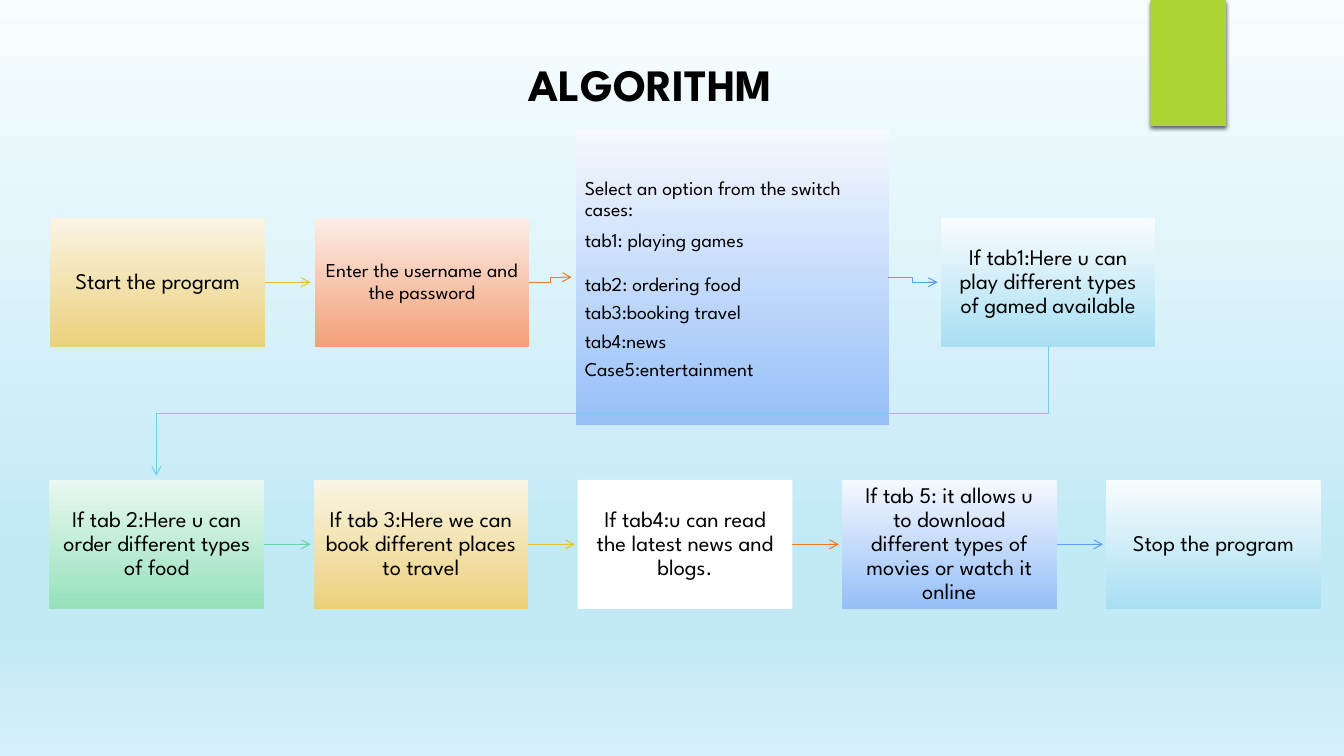
from copy import deepcopy
from dataclasses import dataclass
from lxml.etree import SubElement
from pptx import Presentation
from pptx.dml.color import RGBColor
from pptx.enum.shapes import MSO_CONNECTOR, MSO_SHAPE
from pptx.enum.text import MSO_ANCHOR, PP_ALIGN
from pptx.oxml.ns import qn
from pptx.util import Inches, Pt


@dataclass(frozen=True)
class Theme:
    font: str = "League Spartan"
    ink: str = "000000"
    title_size: int = 32
    step_size: int = 16
    detail_size: int = 14
    backdrop: tuple = ((0, "F8FDFE"), (0.74, "C1E9F6"), (0.83, "C1E9F6"), (1, "D6F0F9"))
    tab: str = "ACD433"
    gold: tuple = ((0, "FAF4E5"), (1, "ECD17B"))
    coral: tuple = ((0, "FCEDE7"), (1, "F3A078"))
    blue: tuple = ((0, "F5F8FE"), (1, "96BFF8"))
    sky: tuple = ((0, "F9FCFE"), (1, "A8DFF2"))
    mint: tuple = ((0, "E9F8F0"), (1, "96E1BB"))
    white: str = "FFFFFF"
    gold_line: str = "E6C133"
    orange_line: str = "EF7A24"
    blue_line: str = "5AA0F5"
    sky_line: str = "75CEEC"
    mint_line: str = "65D6A0"


def write(paragraph, text, theme, size, bold=False, align=PP_ALIGN.CENTER, spacing=0.9, after=0):
    paragraph.alignment = align
    paragraph.line_spacing = spacing
    paragraph.space_before = Pt(0)
    paragraph.space_after = Pt(after)
    run = paragraph.add_run()
    run.text = text
    run.font.name = theme.font
    run.font.size = Pt(size)
    run.font.bold = bold
    run.font.color.rgb = RGBColor.from_string(theme.ink)


class FlowSlide:
    def __init__(self, presentation, theme):
        self.theme = theme
        self.slide = presentation.slides.add_slide(presentation.slide_layouts[5])

    def gradient(self, fill, element, stops):
        fill.gradient()
        fill.gradient_angle = 270
        stop_list = element.xpath(".//a:gsLst")[0]
        for _ in stops[2:]:
            stop_list.append(deepcopy(stop_list[0]))
        for stop, (position, color) in zip(fill.gradient_stops, stops):
            stop.position = position
            stop.color.rgb = RGBColor.from_string(color)

    def background(self):
        self.gradient(self.slide.background.fill, self.slide.element, self.theme.backdrop)

    def title(self, text, left, top, width, height):
        heading = self.slide.shapes.title
        heading.left, heading.top, heading.width, heading.height = map(
            Inches, (left, top, width, height))
        heading.text_frame.vertical_anchor = MSO_ANCHOR.MIDDLE
        write(heading.text_frame.paragraphs[0], text, self.theme,
              self.theme.title_size, bold=True, spacing=1.0)

    def block(self, left, top, width, height, fill):
        block = self.slide.shapes.add_shape(
            MSO_SHAPE.RECTANGLE, *map(Inches, (left, top, width, height)))
        block.shadow.inherit = False
        block.line.fill.background()
        if isinstance(fill, str):
            block.fill.solid()
            block.fill.fore_color.rgb = RGBColor.from_string(fill)
        else:
            self.gradient(block.fill, block.element, fill)
        return block

    def corner_tab(self, left, top, width, height):
        tab = self.block(left, top, width, height, self.theme.tab)
        effects = tab.element.xpath(".//a:effectLst")[0]
        shadow = SubElement(effects, qn("a:outerShdw"), blurRad=str(Pt(3)), dist=str(Pt(2)),
                            dir="5400000", algn="ctr", rotWithShape="0")
        color = SubElement(shadow, qn("a:srgbClr"), val=self.theme.ink)
        SubElement(color, qn("a:alpha"), val="60000")

    def frame(self, block, inset, anchor=MSO_ANCHOR.MIDDLE, inset_top=None):
        frame = block.text_frame
        frame.word_wrap = True
        frame.vertical_anchor = anchor
        frame.margin_left = frame.margin_right = frame.margin_bottom = Inches(inset)
        frame.margin_top = Inches(inset if inset_top is None else inset_top)
        return frame

    def step(self, text, left, top, fill, size=None, inset=0.12):
        block = self.block(left, top, 2.13, 1.28, fill)
        write(self.frame(block, inset).paragraphs[0], text, self.theme,
              size or self.theme.step_size)

    def menu(self, options, left, top, width, height, fill):
        block = self.block(left, top, width, height, fill)
        frame = self.frame(block, 0.09, MSO_ANCHOR.TOP, 0.49)
        for index, (text, spacing, after) in enumerate(options):
            paragraph = frame.add_paragraph() if index else frame.paragraphs[0]
            write(paragraph, text, self.theme, self.theme.detail_size,
                  align=PP_ALIGN.LEFT, spacing=spacing, after=after)

    def arrow_style(self, arrow, color):
        arrow.line.color.rgb = RGBColor.from_string(color)
        arrow.line.width = Pt(0.75)
        SubElement(arrow.element.xpath(".//a:ln")[0], qn("a:tailEnd"), type="arrow")

    def arrow(self, x1, y1, x2, y2, color):
        kind = MSO_CONNECTOR.STRAIGHT if y1 == y2 else MSO_CONNECTOR.ELBOW
        arrow = self.slide.shapes.add_connector(kind, *map(Inches, (x1, y1, x2, y2)))
        self.arrow_style(arrow, color)
        SubElement(arrow.element.spPr, qn("a:effectLst"))

    def route(self, points, color):
        start, *rest = [(Inches(x), Inches(y)) for x, y in points]
        builder = self.slide.shapes.build_freeform(*start)
        builder.add_line_segments(rest, close=False)
        route = builder.convert_to_shape()
        route.fill.background()
        route.shadow.inherit = False
        self.arrow_style(route, color)


def main():
    presentation = Presentation()
    presentation.slide_width = Inches(13.33)
    presentation.slide_height = Inches(7.5)
    theme = Theme()
    flow = FlowSlide(presentation, theme)
    flow.background()
    flow.corner_tab(11.41, 0, 0.75, 1.25)
    flow.title("ALGORITHM", 4.1, 0.51, 4.71, 0.64)

    upper, lower = 2.16, 4.76
    flow.step("Start the program", 0.5, upper, theme.gold)
    flow.step("Enter the username and the password", 3.12, upper, theme.coral,
              size=theme.detail_size, inset=0.09)
    flow.menu([
        ("Select an option from the switch cases:", 0.9, 4.9),
        ("tab1: playing games", 1.0, 17),
        ("tab2: ordering food", 0.9, 4.9),
        ("tab3:booking travel", 0.9, 4.9),
        ("tab4:news", 0.9, 4.9),
        ("Case5:entertainment", 0.9, 0),
    ], 5.71, 1.28, 3.11, 2.94, theme.blue)
    flow.step("If tab1:Here u can play different types of gamed available", 9.33, upper, theme.sky)
    flow.arrow(2.63, 2.8, 3.08, 2.8, theme.gold_line)
    flow.arrow(5.25, 2.8, 5.67, 2.75, theme.orange_line)
    flow.arrow(8.81, 2.75, 9.3, 2.8, theme.blue_line)
    flow.route([(10.4, 3.43), (10.4, 4.1), (1.55, 4.1), (1.55, 4.72)], theme.sky_line)

    lower_steps = [
        ("If tab 2:Here u can order different types of food", theme.mint, theme.mint_line),
        ("If tab 3:Here we can book different places to travel", theme.gold, theme.gold_line),
        ("If tab4:u can read the latest news and blogs.", theme.white, theme.orange_line),
        ("If tab 5: it allows u to download different types of movies or watch it online",
         theme.blue, theme.blue_line),
        ("Stop the program", theme.sky, None),
    ]
    for index, (text, fill, line) in enumerate(lower_steps):
        left = 0.49 + 2.62 * index
        flow.step(text, left, lower, fill)
        if line:
            flow.arrow(left + 2.13, 5.4, left + 2.59, 5.4, line)

    presentation.save("out.pptx")


if __name__ == "__main__":
    main()
